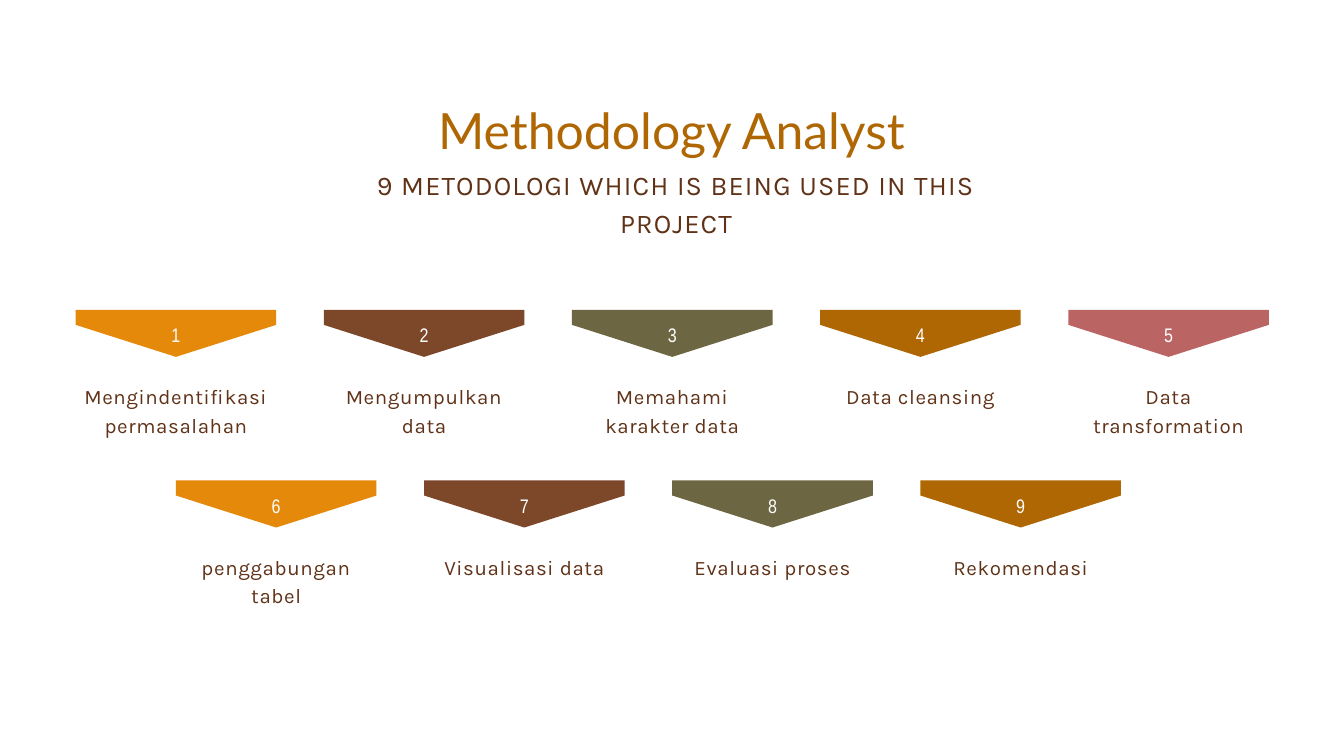
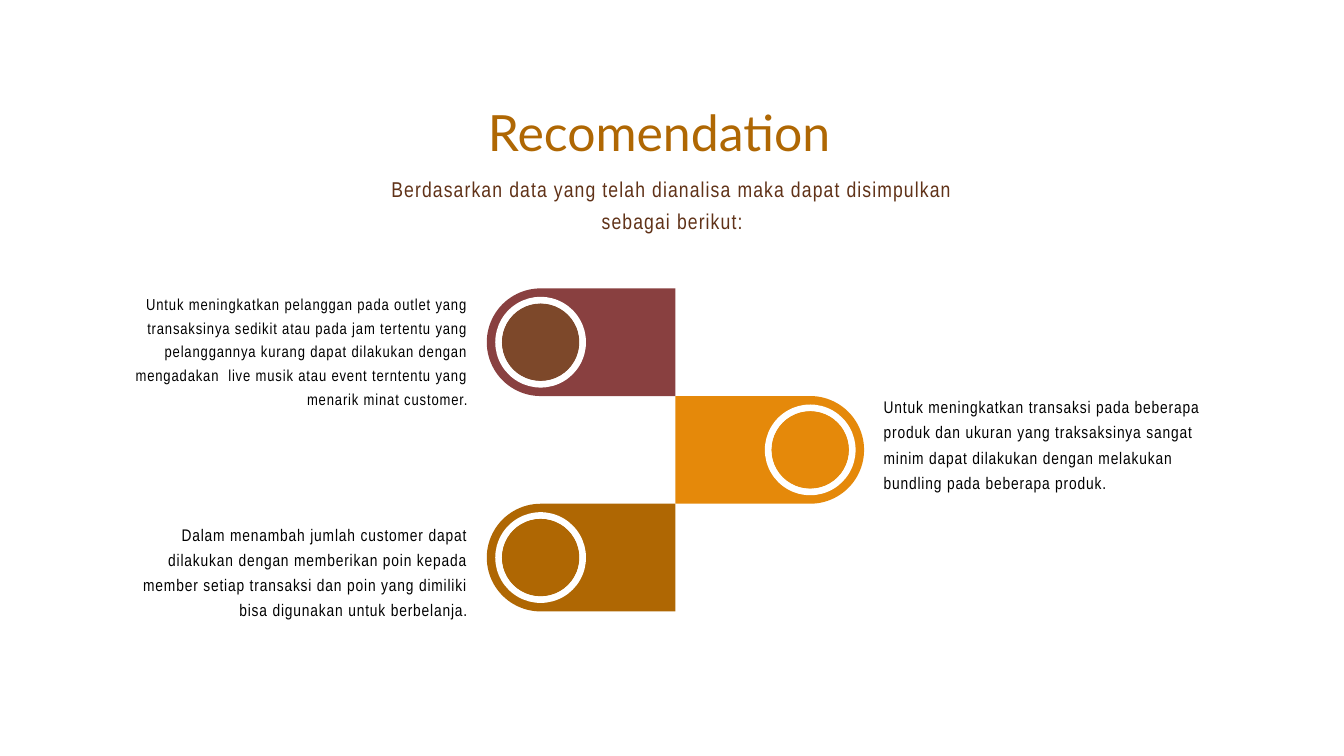
from pptx import Presentation
from pptx import util as u
from pptx.dml.color import RGBColor
from pptx.enum import shapes, text

# Colours
ORANGE = RGBColor(0xE5, 0x89, 0x0A)
BROWN = RGBColor(0x7D, 0x48, 0x2A)
OLIVE = RGBColor(0x6D, 0x66, 0x43)
OCHRE = RGBColor(0xAF, 0x67, 0x03)
ROSE = RGBColor(0xBB, 0x64, 0x64)
MAROON = RGBColor(0x89, 0x40, 0x40)
DARK_BROWN = RGBColor(0x60, 0x32, 0x18)
WHITE = RGBColor(0xFF, 0xFF, 0xFF)
BLACK = RGBColor(0, 0, 0)

LEFT, CENTER, RIGHT = text.PP_ALIGN.LEFT, text.PP_ALIGN.CENTER, text.PP_ALIGN.RIGHT

# Text styles
TITLE = dict(font="Lato", size=53.5, leading=74.9, color=OCHRE)
SUBTITLE = dict(font="Karla", size=29, leading=40.6, color=DARK_BROWN, tracking=1.2)
INTRO = dict(font="Arial Narrow", size=23, leading=34.5, color=DARK_BROWN, tracking=1.2)
LABEL = dict(font="Karla", size=22, leading=30.8, color=DARK_BROWN, tracking=0.7)
NUMBER = dict(font="Arial Narrow", size=21, leading=31.5, color=WHITE, tracking=1.1,
              wrap=False)


def add_text(page, words, left, top, width, height, *, font, size, leading, color,
             tracking=0, align=CENTER, wrap=True):
    box = page.shapes.add_textbox(u.Cm(left), u.Cm(top), u.Cm(width), u.Cm(height))
    frame = box.text_frame
    frame.margin_left = frame.margin_right = frame.margin_top = frame.margin_bottom = 0
    frame.word_wrap = wrap
    frame.auto_size = text.MSO_AUTO_SIZE.SHAPE_TO_FIT_TEXT
    para = frame.paragraphs[0]
    para.alignment = align
    para.line_spacing = u.Pt(leading)
    span = para.add_run()
    span.text = words
    span.font.name = font
    span.font.size = u.Pt(size)
    span.font.color.rgb = color
    if tracking:
        span.font._element.set("spc", str(round(tracking * 100)))


def paint(shape, color):
    shape.shadow.inherit = False
    shape.fill.solid()
    shape.fill.fore_color.rgb = color
    shape.line.fill.background()


deck = Presentation()
deck.slide_width, deck.slide_height = u.Cm(50.8), u.Cm(28.575)
blank = deck.slide_layouts[6]

# Slide 1: nine numbered steps in two rows
page = deck.slides.add_slide(blank)
add_text(page, "Methodology Analyst", 13, 3.38, 24.77, 2.51, **TITLE)
add_text(page, "9 METODOLOGI WHICH IS BEING USED IN THIS PROJECT",
         12.55, 6.17, 26.01, 2.82, **SUBTITLE)

STEP_COLORS = [ORANGE, BROWN, OLIVE, OCHRE, ROSE]
STEP_ROWS = [
    (2.86, 11.71, ["Mengindentifikasi permasalahan", "Mengumpulkan data",
                   "Memahami karakter data", "Data cleansing", "Data transformation"]),
    (6.65, 18.16, ["penggabungan tabel", "Visualisasi data", "Evaluasi proses",
                   "Rekomendasi"]),
]
ARROW_WIDTH, ARROW_HEIGHT, SHOULDER, PITCH = 7.58, 1.78, 0.57, 9.38
NUMBER_WIDTH = 0.4

number = 0
for row_left, top, labels in STEP_ROWS:
    for column, label in enumerate(labels):
        number += 1
        left = row_left + column * PITCH
        middle, right = left + ARROW_WIDTH / 2, left + ARROW_WIDTH

        # Downward pointing banner
        outline = page.shapes.build_freeform(u.Cm(left), u.Cm(top))
        corners = [(right, top), (right, top + SHOULDER), (middle, top + ARROW_HEIGHT),
                   (left, top + SHOULDER)]
        outline.add_line_segments([(u.Cm(x), u.Cm(y)) for x, y in corners])
        paint(outline.convert_to_shape(), STEP_COLORS[column])

        add_text(page, str(number), middle - NUMBER_WIDTH / 2, top + 0.28,
                 NUMBER_WIDTH, 1.04, **NUMBER)
        add_text(page, label, left, top + 2.65, ARROW_WIDTH, 1.07, **LABEL)

# Slide 2: three recommendations on alternating sides of an axis
page = deck.slides.add_slide(blank)
add_text(page, "Recomendation", 16.05, 3.48, 17.73, 2.51, **TITLE)
add_text(page, "Berdasarkan data yang telah dianalisa maka dapat disimpulkan sebagai berikut:",
         13.69, 6.4, 23.44, 2.36, **INTRO)

AXIS, FIRST_TOP = 25.53, 10.9
TAB_LENGTH, TAB_HEIGHT = 7.13, 4.07
RING, RING_WIDTH, DOT = 3.43, 0.26, 2.92

# Side (-1 left, 1 right), tab colour, dot colour, words, text place, size, leading
RECOMMENDATIONS = [
    (-1, MAROON, BROWN,
     "Untuk meningkatkan pelanggan pada outlet yang transaksinya sedikit atau pada jam "
     "tertentu yang pelanggannya kurang dapat dilakukan dengan mengadakan  live musik "
     "atau event terntentu yang menarik minat customer.",
     (4.22, 10.95, 13.46, 4.34), 17, 25.5),
    (1, ORANGE, ORANGE,
     "Untuk meningkatkan transaksi pada beberapa produk dan ukuran yang traksaksinya "
     "sangat minim dapat dilakukan dengan melakukan bundling pada beberapa produk.",
     (33.4, 14.81, 13.16, 3.68), 18, 27),
    (-1, OCHRE, OCHRE,
     "Dalam menambah jumlah customer dapat dilakukan dengan memberikan poin kepada "
     "member setiap transaksi dan poin yang dimiliki bisa digunakan untuk berbelanja.",
     (4.22, 19.63, 13.46, 3.68), 18, 27),
]

for row, (side, tab_color, dot_color, words, place, size, leading) in enumerate(RECOMMENDATIONS):
    center_y = FIRST_TOP + (row + 0.5) * TAB_HEIGHT
    tab_x = AXIS + side * TAB_LENGTH / 2
    knob_x = AXIS + side * (TAB_LENGTH - TAB_HEIGHT / 2)

    # Tab with a round outer end, then its ring and dot
    tab = page.shapes.add_shape(
        shapes.MSO_SHAPE.ROUND_2_SAME_RECTANGLE,
        u.Cm(tab_x - TAB_HEIGHT / 2), u.Cm(center_y - TAB_LENGTH / 2),
        u.Cm(TAB_HEIGHT), u.Cm(TAB_LENGTH))
    tab.adjustments[0] = 0.5
    tab.rotation = 90 * side % 360
    paint(tab, tab_color)

    for kind, width, color in [(shapes.MSO_SHAPE.DONUT, RING, WHITE),
                               (shapes.MSO_SHAPE.OVAL, DOT, dot_color)]:
        knob = page.shapes.add_shape(kind, u.Cm(knob_x - width / 2),
                                     u.Cm(center_y - width / 2), u.Cm(width), u.Cm(width))
        if kind == shapes.MSO_SHAPE.DONUT:
            knob.adjustments[0] = RING_WIDTH / RING
        paint(knob, color)

    add_text(page, words, *place, font="Arial Narrow", size=size, leading=leading,
             color=BLACK, tracking=0.9, align=RIGHT if side < 0 else LEFT)

deck.save("out.pptx")
